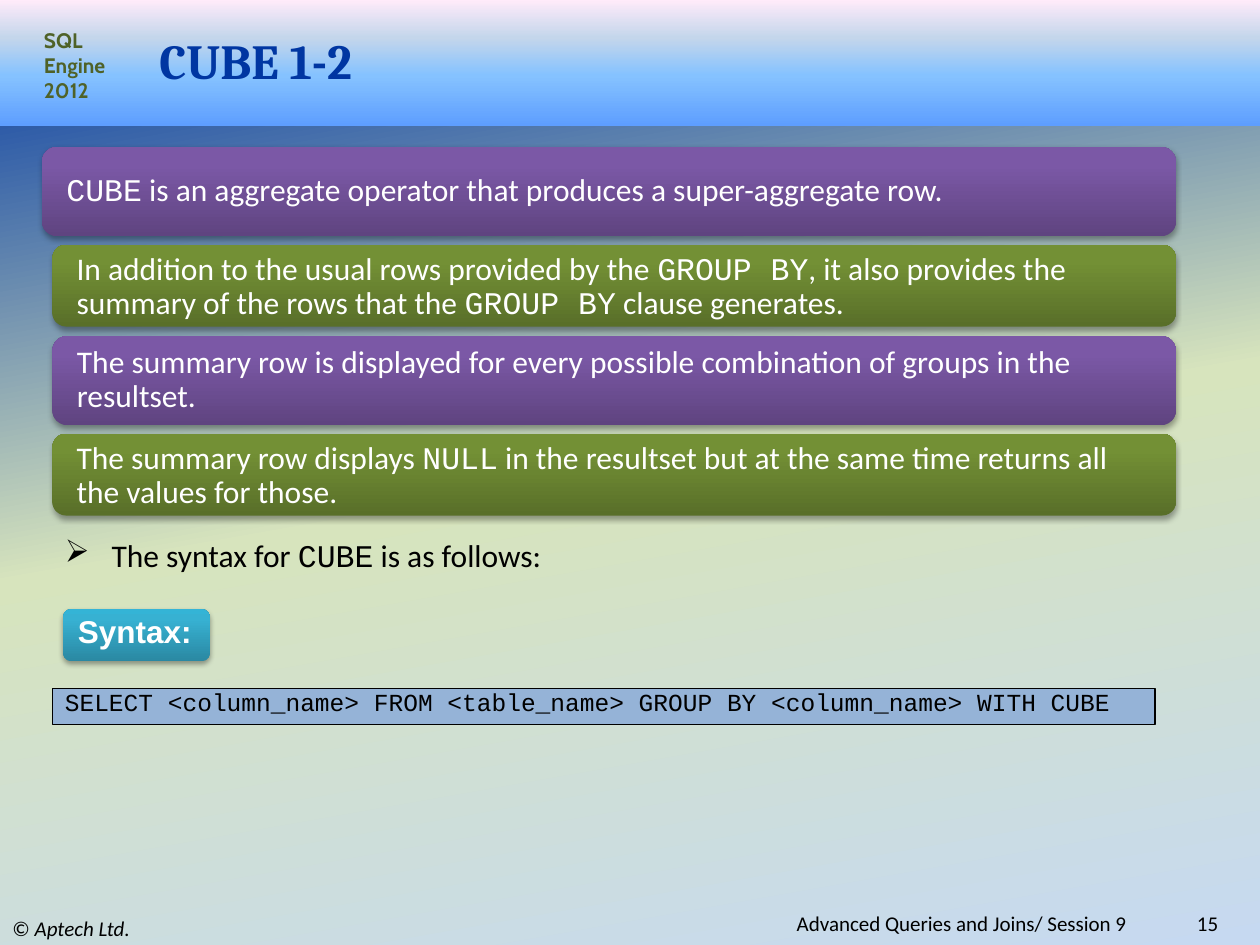
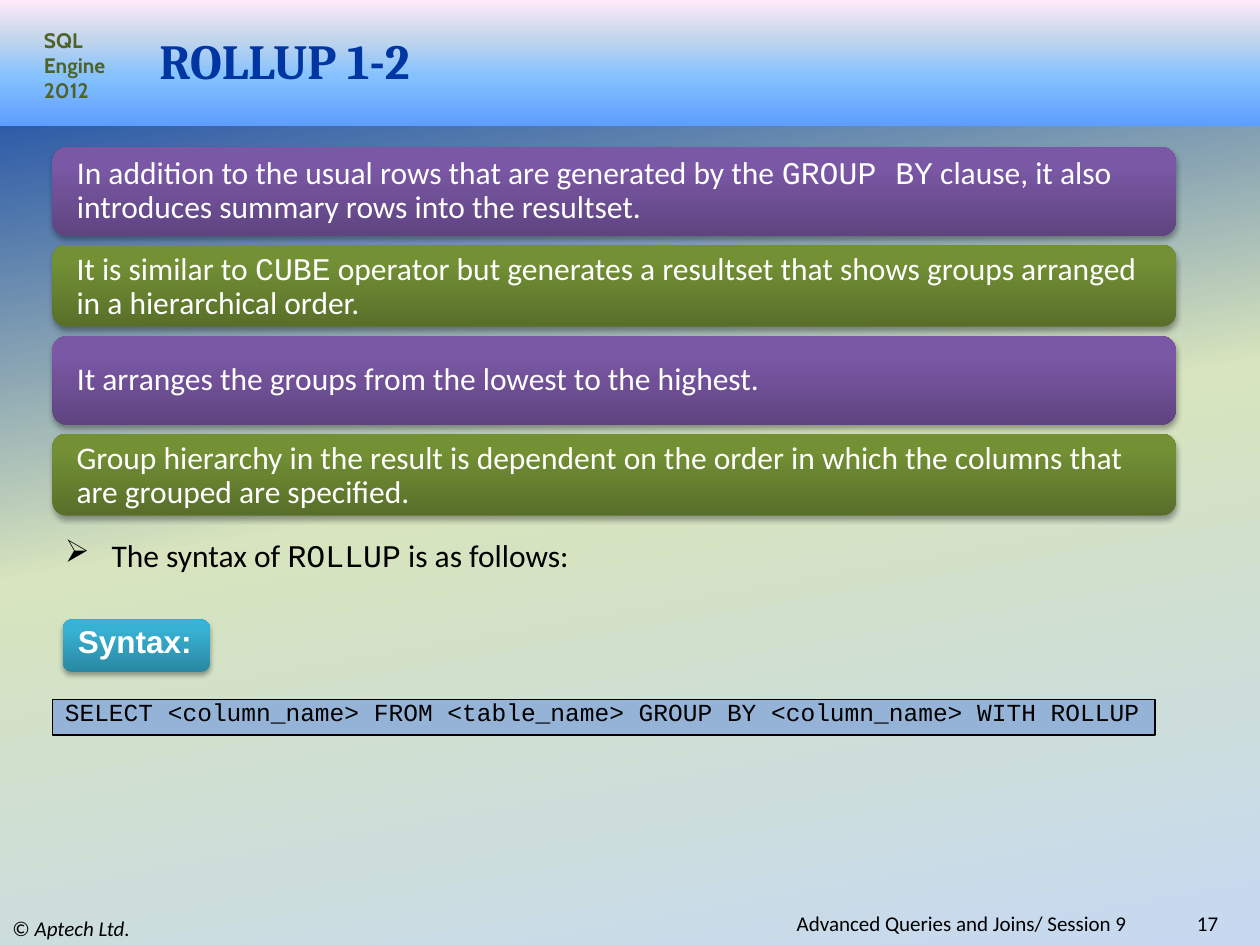
from dataclasses import dataclass

from lxml.etree import SubElement
from pptx import Presentation
from pptx.dml.color import RGBColor
from pptx.enum.shapes import MSO_SHAPE as Shape
from pptx.enum.text import MSO_ANCHOR as Anchor, PP_ALIGN as Align
from pptx.oxml.ns import qn
from pptx.util import Inches, Pt

COLUMNS, ROWS = 120, 90


@dataclass(frozen=True)
class Theme:
    navy: str = "0036A2"
    olive: str = "4F6228"
    black: str = "000000"
    white: str = "FFFFFF"
    code_fill: str = "95B3D7"
    backdrop: tuple = ((0, "0036A2"), (50, "D7E4BD"), (100, "C6D9F1"))
    band: tuple = ((0, "5E9EFF"), (40, "85C2FF"), (70, "C4D6EB"), (100, "FFEBFA"))
    purple: tuple = ((0, "5F4480"), (80, "7B58A6"), (100, "7C57A8"))
    green: tuple = ((0, "596F29"), (80, "739035"), (100, "749334"))
    teal: tuple = ((0, "2A88A2"), (80, "37B1D2"), (100, "34B4D6"))
    body_font: str = "Calibri"
    title_font: str = "Cambria"
    badge_font: str = "Cabin"
    label_font: str = "Arial"
    code_font: str = "Courier New"
    title_size: int = 28
    body_size: int = 18
    code_size: int = 14
    small_size: int = 12


THEME = Theme()


def fill_gradient(fill, owner, stops, angle):
    """Fill with (percent, colour) stops; the angle runs counterclockwise."""
    fill.gradient()
    fill.gradient_angle = angle
    stop_list = owner.find(qn("a:gradFill")).find(qn("a:gsLst"))
    stop_list.clear()
    for percent, colour in stops:
        stop = SubElement(stop_list, qn("a:gs"), pos=str(percent * 1000))
        SubElement(stop, qn("a:srgbClr"), val=colour)


def add_shadow(box):
    effects = box._element.spPr.find(qn("a:effectLst"))
    shadow = SubElement(effects, qn("a:outerShdw"), blurRad=str(Pt(3.1)),
                        dist=str(Pt(1.8)), dir="5400000", rotWithShape="0")
    colour = SubElement(shadow, qn("a:srgbClr"), val=THEME.black)
    SubElement(colour, qn("a:alpha"), val="35000")


def write(box, text, font=THEME.body_font, size=THEME.body_size, colour=THEME.black,
          bold=False, align=Align.LEFT, anchor=Anchor.MIDDLE, spacing=None,
          insets=(0.1, 0.05, 0.1, 0.05), bullet=None, marked_font=THEME.code_font,
          marked_italic=False):
    """Write one paragraph; the parts between backticks take the marked style."""
    frame = box.text_frame
    frame.word_wrap = True
    frame.vertical_anchor = anchor
    (frame.margin_left, frame.margin_top,
     frame.margin_right, frame.margin_bottom) = map(Inches, insets)
    para = frame.paragraphs[0]
    para.alignment = align
    if spacing:
        para.line_spacing = spacing
    if bullet:
        properties = para._p.get_or_add_pPr()
        properties.set("marL", str(Inches(0.37)))
        properties.set("indent", str(-Inches(0.37)))
        SubElement(properties, qn("a:buChar"), char=bullet)
    for index, part in enumerate(text.split("`")):
        if not part:
            continue
        marked = index % 2 == 1
        span = para.add_run()
        span.text = part
        span.font.name = marked_font if marked else font
        span.font.size = Pt(size)
        span.font.bold = bold
        span.font.italic = marked and marked_italic
        span.font.color.rgb = RGBColor.from_string(colour)


class SessionDeck:
    """Holds the deck and the current page; places are (column, row, columns, rows)."""

    def __init__(self, theme):
        self.theme = theme
        self.deck = Presentation()
        self.deck.slide_width, self.deck.slide_height = Inches(10), Inches(7.5)
        master = self.deck.slide_master
        backdrop = master.background.fill
        backdrop.solid()
        fill_gradient(backdrop, master.element.find(".//" + qn("p:bgPr")),
                      theme.backdrop, 280)
        self.page = None

    def place(self, column, row, columns, rows):
        unit_x = self.deck.slide_width / COLUMNS
        unit_y = self.deck.slide_height / ROWS
        return (round(column * unit_x), round(row * unit_y),
                round(columns * unit_x), round(rows * unit_y))

    def text(self, place, text, **style):
        write(self.page.shapes.add_textbox(*self.place(*place)), text, **style)

    def panel(self, place, kind, stops):
        box = self.page.shapes.add_shape(kind, *self.place(*place))
        box.shadow.inherit = False
        box.line.fill.background()
        fill_gradient(box.fill, box._element.spPr, stops, 90)
        return box

    def new_page(self, title, number):
        theme = self.theme
        self.page = self.deck.slides.add_slide(self.deck.slide_layouts[6])
        self.panel((0, 0, COLUMNS, 12), Shape.RECTANGLE, theme.band)
        self.text((3, 2, 9, 8.5), "SQL Engine 2012", font=theme.badge_font,
                  size=theme.small_size, colour=theme.olive, bold=True, anchor=Anchor.TOP)
        self.text((14, 3, 100, 5.4), title, font=theme.title_font,
                  size=theme.title_size, colour=theme.navy, bold=True)
        self.text((0, 86.8, 40, 3.2), "© `Aptech Ltd.`", size=theme.small_size,
                  marked_font=theme.body_font, marked_italic=True)
        self.text((30, 86.8, 78.5, 2.2), "Advanced Queries and Joins/ Session 9",
                  size=theme.small_size, align=Align.RIGHT)
        self.text((107, 86.8, 10.2, 2.2), str(number), size=theme.small_size,
                  align=Align.RIGHT)

    def cards(self, facts, first_column):
        """Stack the facts as purple and green cards, in pairs 18 rows apart."""
        for index, fact in enumerate(facts):
            pair, is_green = divmod(index, 2)
            column = 5 if index else first_column
            row, rows, stops = ((23.3, 7.8, self.theme.green) if is_green
                                else (14, 8.5, self.theme.purple))
            card = self.panel((column, row + 18 * pair, 112 - column, rows),
                              Shape.ROUNDED_RECTANGLE, stops)
            add_shadow(card)
            write(card, fact, colour=self.theme.white, spacing=0.9,
                  insets=(0.16, 0.03 * is_green, 0.16, 0))

    def syntax(self, lead, code, label_row):
        theme = self.theme
        self.text((5, 50.5, 110, 4.8), lead, anchor=Anchor.TOP, bullet="➢")
        label = self.panel((6, label_row, 14, 5), Shape.ROUNDED_RECTANGLE, theme.teal)
        add_shadow(label)
        write(label, "Syntax:", font=theme.label_font, colour=theme.white,
              bold=True, spacing=0.7)
        box = self.page.shapes.add_shape(
            Shape.RECTANGLE, *self.place(5, label_row + 7.6, 105, 3.4))
        box.shadow.inherit = False
        box.fill.solid()
        box.fill.fore_color.rgb = RGBColor.from_string(theme.code_fill)
        box.line.color.rgb = RGBColor.from_string(theme.black)
        box.line.width = Pt(0.75)
        write(box, code, font=theme.code_font, size=theme.code_size,
              anchor=Anchor.TOP, spacing=0.7)


def main():
    session = SessionDeck(THEME)
    query = "SELECT <column_name> FROM <table_name> GROUP BY <column_name> WITH "

    session.new_page("CUBE 1-2", 15)
    session.cards([
        "`CUBE` is an aggregate operator that produces a super-aggregate row.",
        "In addition to the usual rows provided by the `GROUP BY`, it also provides the "
        "summary of the rows that the `GROUP BY` clause generates.",
        "The summary row is displayed for every possible combination of groups in the "
        "resultset.",
        "The summary row displays `NULL` in the resultset but at the same time returns "
        "all the values for those.",
    ], first_column=4)
    session.syntax("The syntax for `CUBE` is as follows:", query + "CUBE", label_row=58)

    session.new_page("ROLLUP 1-2", 17)
    session.cards([
        "In addition to the usual rows that are generated by the `GROUP BY` clause, it "
        "also introduces summary rows into the resultset.",
        "It is similar to `CUBE` operator but generates a resultset that shows groups "
        "arranged in a hierarchical order.",
        "It arranges the groups from the lowest to the highest.",
        "Group hierarchy in the result is dependent on the order in which the columns "
        "that are grouped are specified.",
    ], first_column=5)
    session.syntax("The syntax of `ROLLUP` is as follows:", query + "ROLLUP", label_row=59)

    session.deck.save("out.pptx")


if __name__ == "__main__":
    main()
